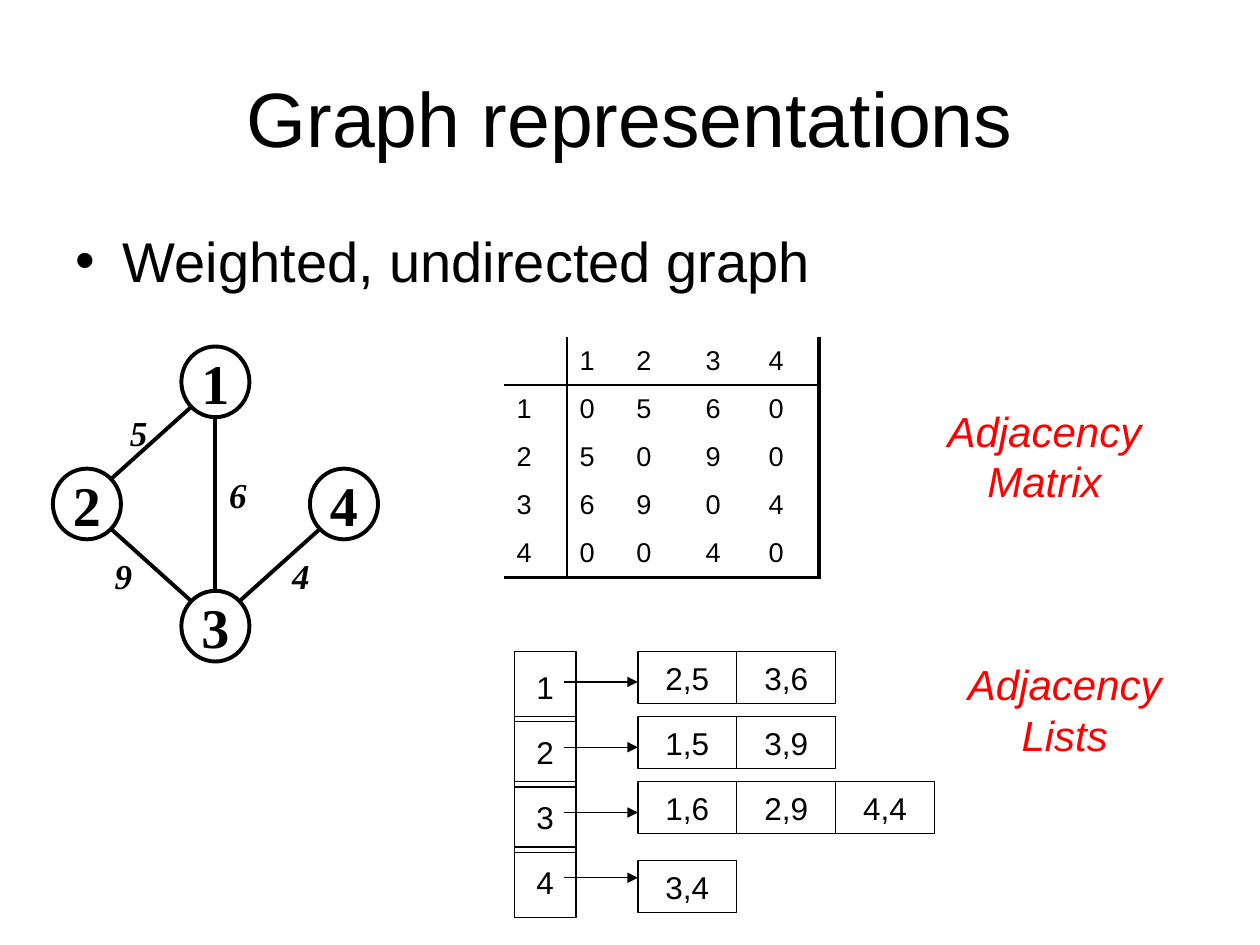
import pptx
import pptx.util
import pptx.dml.color
import pptx.enum.shapes
import pptx.enum.text
import pptx.oxml
import pptx.oxml.ns

Pt = pptx.util.Pt
SHAPES = pptx.enum.shapes.MSO_SHAPE
ALIGN = pptx.enum.text.PP_ALIGN
ANCHOR = pptx.enum.text.MSO_ANCHOR
BLACK = "000000"
RED = "FF0000"

NODE_WIDTH, NODE_HEIGHT = 38.9, 40.4
NODES = {"1": (123.1, 218.2), "2": (49.7, 288), "4": (196.6, 288), "3": (123.1, 357.8)}
EDGES = [("1", "2"), ("2", "3"), ("4", "3"), ("1", "3")]
WEIGHTS = [("5", 67, 231.8), ("6", 123.8, 267.1), ("9", 58.3, 313.2), ("4", 159.8, 313.2)]

MATRIX = ["\u00201234".strip().rjust(5), "10560", "25090", "36904", "40040"]
COLUMN_WIDTHS = [36, 32.4, 39.6, 36, 36]
ROW_HEIGHT = 27.5
RULES = [0, 1, 0, 0, 0, 2.25]

LISTS = [
    ("1", ["2,5", "3,6"], 372.2),
    ("2", ["1,5", "3,9"], 409.5),
    ("3", ["1,6", "2,9", "4,4"], 446.6),
    ("4", ["3,4"], 491.8),
]
LIST_TOP, LIST_STEP = 372.2, 37.3


def color(value):
    return pptx.dml.color.RGBColor.from_string(value)


def write(frame, text, size, font="Arial", ink=BLACK, align=ALIGN.CENTER, bold=False, italic=False):
    frame.text = text
    for para in frame.paragraphs:
        para.alignment = align
        para.font.name = font
        para.font.size = Pt(size)
        para.font.bold = bold
        para.font.italic = italic
        para.font.color.rgb = color(ink)


def place(shape, left, top, width, height):
    shape.left, shape.top = Pt(left), Pt(top)
    shape.width, shape.height = Pt(width), Pt(height)


def add_label(page, text, left, top, width, height, size, **style):
    box = page.shapes.add_textbox(Pt(left), Pt(top), Pt(width), Pt(height))
    box.text_frame.word_wrap = False
    write(box.text_frame, text, size, **style)


def add_outline(page, kind, text, left, top, width, height, weight, size, **style):
    shape = page.shapes.add_shape(kind, Pt(left), Pt(top), Pt(width), Pt(height))
    shape.shadow.inherit = False
    shape.fill.background()
    shape.line.color.rgb = color(BLACK)
    shape.line.width = Pt(weight)
    shape.text_frame.word_wrap = False
    shape.text_frame.vertical_anchor = ANCHOR.MIDDLE
    write(shape.text_frame, text, size, **style)


def add_line(page, start, end, weight, arrow=False):
    line = page.shapes.add_connector(
        pptx.enum.shapes.MSO_CONNECTOR.STRAIGHT, *[Pt(value) for value in (*start, *end)]
    )
    line.line.color.rgb = color(BLACK)
    line.line.width = Pt(weight)
    properties = line._element.spPr
    if arrow:
        head = pptx.oxml.parse_xml(f'<a:tailEnd {pptx.oxml.ns.nsdecls("a")} type="triangle"/>')
        properties.find(pptx.oxml.ns.qn("a:ln")).append(head)
    properties.append(pptx.oxml.parse_xml(f'<a:effectLst {pptx.oxml.ns.nsdecls("a")}/>'))


def add_graph(page):
    for name, (x, y) in NODES.items():
        add_outline(page, SHAPES.OVAL, name, x - NODE_WIDTH / 2, y - NODE_HEIGHT / 2,
                    NODE_WIDTH, NODE_HEIGHT, 2.25, 32, font="Times New Roman", bold=True)
    for first, second in EDGES:
        (x1, y1), (x2, y2) = NODES[first], NODES[second]
        side = (x2 > x1) - (x2 < x1)
        dx = side * NODE_WIDTH * 0.35
        dy = NODE_HEIGHT * (0.35 if side else 0.5)
        add_line(page, (x1 + dx, y1 + dy), (x2 - dx, y2 - dy), 2.25)
    for text, left, top in WEIGHTS:
        add_label(page, text, left, top, 24.4, 31.5, 20,
                  font="Times New Roman", bold=True, italic=True)


def set_borders(cell, weights):
    for index, (side, weight) in enumerate(weights):
        paint = f'<a:solidFill><a:srgbClr val="{BLACK}"/></a:solidFill>' if weight else "<a:noFill/>"
        border = pptx.oxml.parse_xml(
            f'<a:{side} {pptx.oxml.ns.nsdecls("a")} w="{Pt(weight)}">{paint}</a:{side}>'
        )
        cell._tc.get_or_add_tcPr().insert(index, border)


def add_matrix(page):
    size = len(MATRIX)
    table = page.shapes.add_table(
        size, size, Pt(288), Pt(192.4), Pt(sum(COLUMN_WIDTHS)), Pt(size * ROW_HEIGHT)
    ).table
    table.first_row = False
    table.horz_banding = False
    for column, width in zip(table.columns, COLUMN_WIDTHS):
        column.width = Pt(width)
    for r, values in enumerate(MATRIX):
        table.rows[r].height = Pt(ROW_HEIGHT)
        for c, value in enumerate(values):
            cell = table.cell(r, c)
            cell.fill.background()
            cell.vertical_anchor = ANCHOR.MIDDLE
            cell.margin_left = cell.margin_right = Pt(7.2)
            cell.margin_top = cell.margin_bottom = Pt(3.6)
            write(cell.text_frame, value.strip(), 15.5, align=ALIGN.LEFT)
            set_borders(cell, [("lnL", RULES[c]), ("lnR", RULES[c + 1]),
                               ("lnT", RULES[r]), ("lnB", RULES[r + 1])])


def add_lists(page):
    for row, (vertex, entries, entry_top) in enumerate(LISTS):
        top = LIST_TOP + row * LIST_STEP
        add_outline(page, SHAPES.RECTANGLE, vertex, 293.8, top, 35.3, 40.3, 0.75, 18)
        for column, entry in enumerate(entries):
            add_outline(page, SHAPES.RECTANGLE, entry, 364.5 + column * 56.5, entry_top,
                        56.5, 29.8, 0.75, 18)
        add_line(page, (322.5, top + 17.5), (364.5, top + 17.5), 0.75, arrow=True)


def main():
    deck = pptx.Presentation()
    deck.slide_width, deck.slide_height = Pt(720), Pt(540)
    page = deck.slides.add_slide(deck.slide_layouts[1])

    title, body = page.placeholders
    place(title, 36, 21.6, 648, 90)
    title.text_frame.vertical_anchor = ANCHOR.MIDDLE
    write(title.text_frame, "Graph representations", 44)
    place(body, 36, 126, 648, 356.4)
    write(body.text_frame, "Weighted, undirected graph", 32, align=ALIGN.LEFT)
    body.text_frame.paragraphs[0].space_before = Pt(8)

    add_graph(page)
    add_matrix(page)
    add_lists(page)
    add_label(page, "Adjacency\nMatrix", 534.2, 228.2, 125.3, 64.8, 24, ink=RED, italic=True)
    add_label(page, "Adjacency\nLists", 545.8, 373, 125.3, 64.8, 24, ink=RED, italic=True)
    deck.save("out.pptx")


if __name__ == "__main__":
    main()
